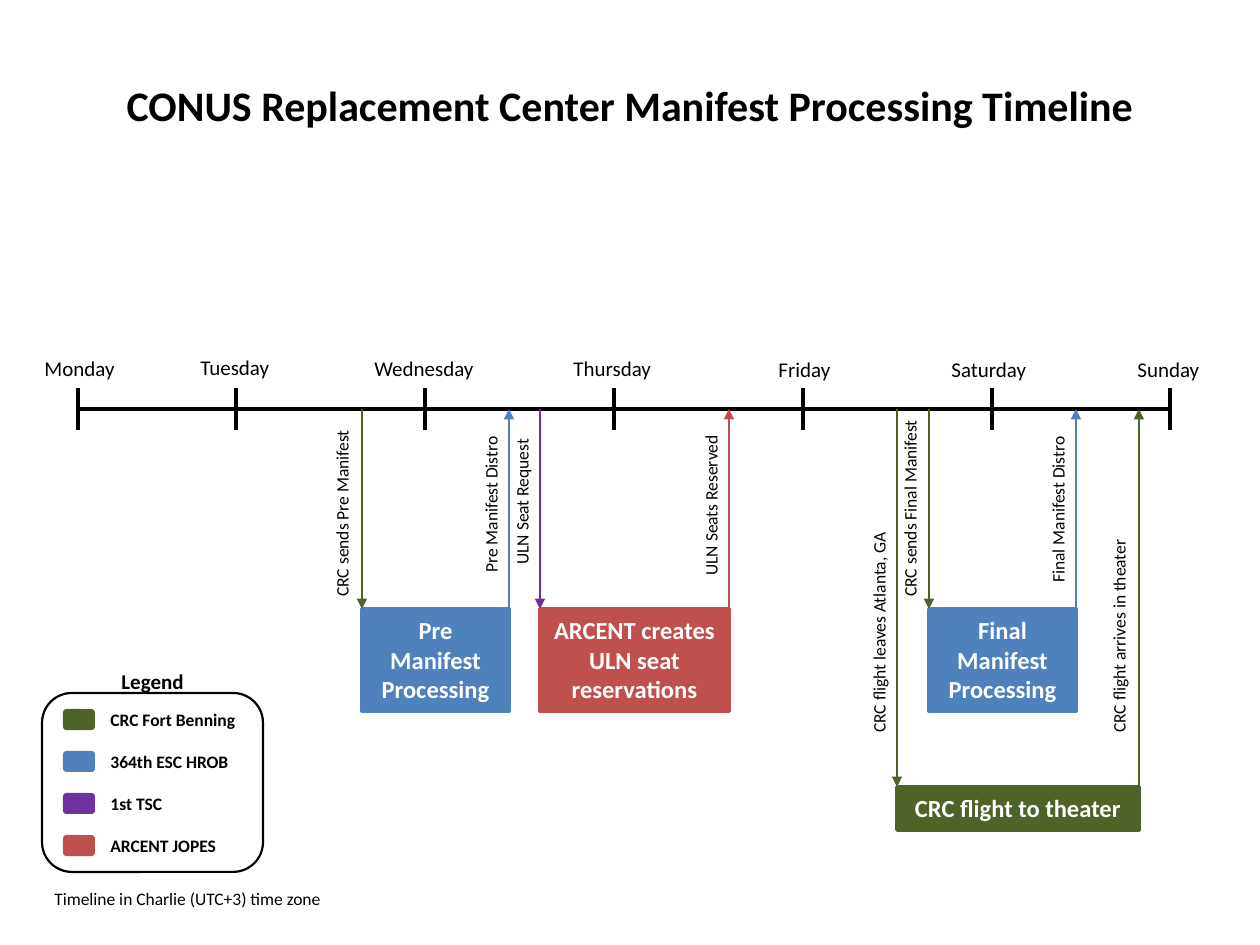
from lxml.etree import SubElement
from pptx import Presentation
from pptx.dml.color import RGBColor
from pptx.enum.shapes import MSO_CONNECTOR as CONN, MSO_SHAPE as SHAPE
from pptx.enum.text import MSO_ANCHOR as ANCHOR, MSO_AUTO_SIZE as AUTO, PP_ALIGN as ALIGN
from pptx.oxml.ns import qn
from pptx.util import Pt

PX = 914400 / 126
COLORS = {
    "black": "000000", "white": "FFFFFF", "green": "4F6228",
    "blue": "4F81BD", "purple": "7030A0", "red": "C0504D",
}


def add_line(x1, y1, x2, y2, color, width, arrow=False):
    """Draw a straight line, with an arrowhead at its second end if asked."""
    c = s.shapes.add_connector(CONN.STRAIGHT, *(round(v * PX) for v in (x1, y1, x2, y2)))
    c.line.color.rgb = RGBColor.from_string(COLORS[color])
    c.line.width = Pt(width)
    if arrow:
        SubElement(c.line._get_or_add_ln(), qn("a:tailEnd"), type="triangle")
    SubElement(c._element.spPr, qn("a:effectLst"))


def add_text(box, text, size, bold=False, align=ALIGN.LEFT, color="black",
             shape=None, fill=None, outline=None, vertical=False):
    """Add a text box, or a preset shape when one is given; box is in px."""
    box = [round(v * PX) for v in box]
    if shape is None:
        sp = s.shapes.add_textbox(*box)
    else:
        sp = s.shapes.add_shape(shape, *box)
        sp.shadow.inherit = False
        if fill:
            sp.fill.solid()
            sp.fill.fore_color.rgb = RGBColor.from_string(COLORS[fill])
        else:
            sp.fill.background()
        if outline:
            sp.line.color.rgb = RGBColor.from_string(COLORS[outline[0]])
            sp.line.width = Pt(outline[1])
        else:
            sp.line.fill.background()
    if not text:
        return
    tf = sp.text_frame
    tf.word_wrap = True
    tf.vertical_anchor = ANCHOR.TOP
    if vertical:
        tf._txBody.bodyPr.set("vert", "vert270")
    tf.text = text
    for p in tf.paragraphs:
        p.alignment = align
        p.font.name = "Calibri"
        p.font.size = Pt(size)
        p.font.bold = bold
        p.font.color.rgb = RGBColor.from_string(COLORS[color])


prs = Presentation()
prs.slide_width, prs.slide_height = round(1260 * PX), round(945 * PX)
s = prs.slides.add_slide(prs.slide_layouts[5])

# Title
title = s.shapes.title
title.left, title.top, title.width, title.height = (round(v * PX) for v in (0, 73, 1260, 63))
tf = title.text_frame
tf.text = "CONUS Replacement Center Manifest Processing Timeline"
tf.vertical_anchor = ANCHOR.TOP
tf.auto_size = AUTO.NONE
p = tf.paragraphs[0]
p.alignment = ALIGN.CENTER
p.font.name, p.font.size, p.font.bold = "Calibri", Pt(24), True
p.font.color.rgb = RGBColor.from_string(COLORS["black"])

# Time axis: day, tick x, label left, label top, label width
AXIS_Y = 409
days = [
    ("Monday", 78, 32, 349, 105),
    ("Tuesday", 236, 188, 348, 105),
    ("Wednesday", 425, 362, 349, 126),
    ("Thursday", 614, 561, 349, 105),
    ("Friday", 803, 766, 350, 105),
    ("Saturday", 992, 939, 350, 105),
    ("Sunday", 1170, 1125, 350, 105),
]
add_line(days[0][1], AXIS_Y, days[-1][1], AXIS_Y, "black", 2.5)
for day, x, left, top, width in days:
    add_line(x, AXIS_Y - 21, x, AXIS_Y + 21, "black", 2.5)
    add_text((left, top, width, 38), day, 12)

# Processing steps: text, left, top, width, height, colour
STEP_Y, FLIGHT_Y = 609, 787
steps = [
    ("Pre Manifest\nProcessing", 362, STEP_Y, 147, 102, "blue"),
    ("ARCENT creates ULN seat reservations", 540, STEP_Y, 189, 102, "red"),
    ("Final Manifest\nProcessing", 929, STEP_Y, 147, 102, "blue"),
    ("CRC flight to theater", 897, FLIGHT_Y, 242, 43, "green"),
]
for text, left, top, width, height, color in steps:
    add_text((left, top, width, height), text, 14, True, ALIGN.CENTER, "white",
             SHAPE.RECTANGLE, color, (color, 2))

# Messages: text, label left, label top, arrow x, step y, colour, points up to the axis
messages = [
    ("CRC sends Pre Manifest", 325, 378, 362, STEP_Y, "green", False),
    ("Pre Manifest Distro", 474, 354, 509, STEP_Y, "blue", True),
    ("ULN Seat Request", 505, 346, 540, STEP_Y, "purple", False),
    ("ULN Seats Reserved", 694, 357, 729, STEP_Y, "red", True),
    ("CRC sends Final Manifest", 893, 378, 929, STEP_Y, "green", False),
    ("Final Manifest Distro", 1041, 364, 1076, STEP_Y, "blue", True),
    ("CRC flight leaves Atlanta, GA", 862, 514, 897, FLIGHT_Y, "green", False),
    ("CRC flight arrives in theater", 1102, 514, 1139, FLIGHT_Y, "green", True),
]
for text, left, top, x, y, color, up in messages:
    start, end = (y, AXIS_Y) if up else (AXIS_Y, y)
    add_line(x, start, x, end, color, 0.75, arrow=True)
    add_text((left, top, 47, 231), text, 10, vertical=True)

# Legend
add_text((42, 693, 221, 179), "", 10, shape=SHAPE.ROUNDED_RECTANGLE, outline=("black", 1.25))
add_text((42, 662, 221, 38), "Legend", 12, True, ALIGN.CENTER)
legend = [
    ("CRC Fort Benning", "green"), ("364th ESC HROB", "blue"),
    ("1st TSC", "purple"), ("ARCENT JOPES", "red"),
]
for i, (text, color) in enumerate(legend):
    y = 709 + 42 * i
    add_text((63, y, 32, 21), "", 10, shape=SHAPE.ROUNDED_RECTANGLE, fill=color)
    add_text((98, y - 6, 158, 34), text, 10, True)

add_text((42, 882, 368, 34), "Timeline in Charlie (UTC+3) time zone", 10)

prs.save("out.pptx")
